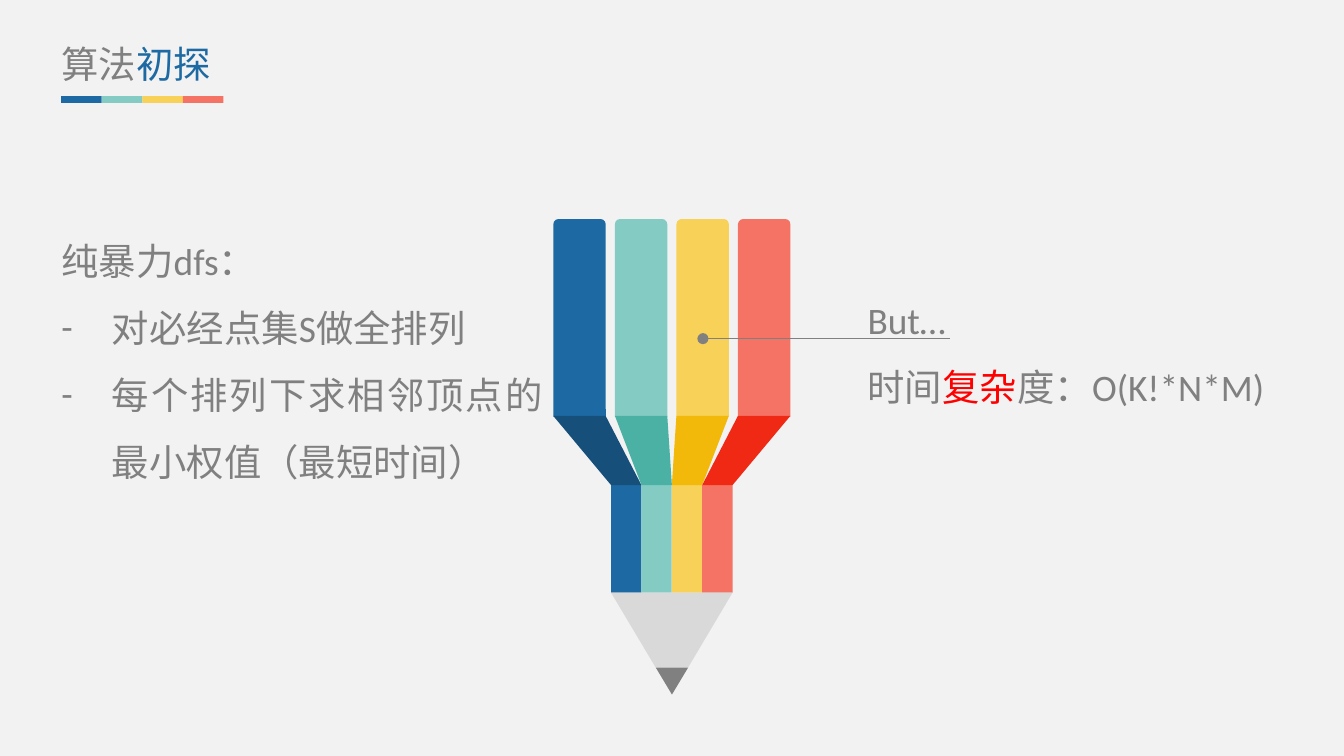
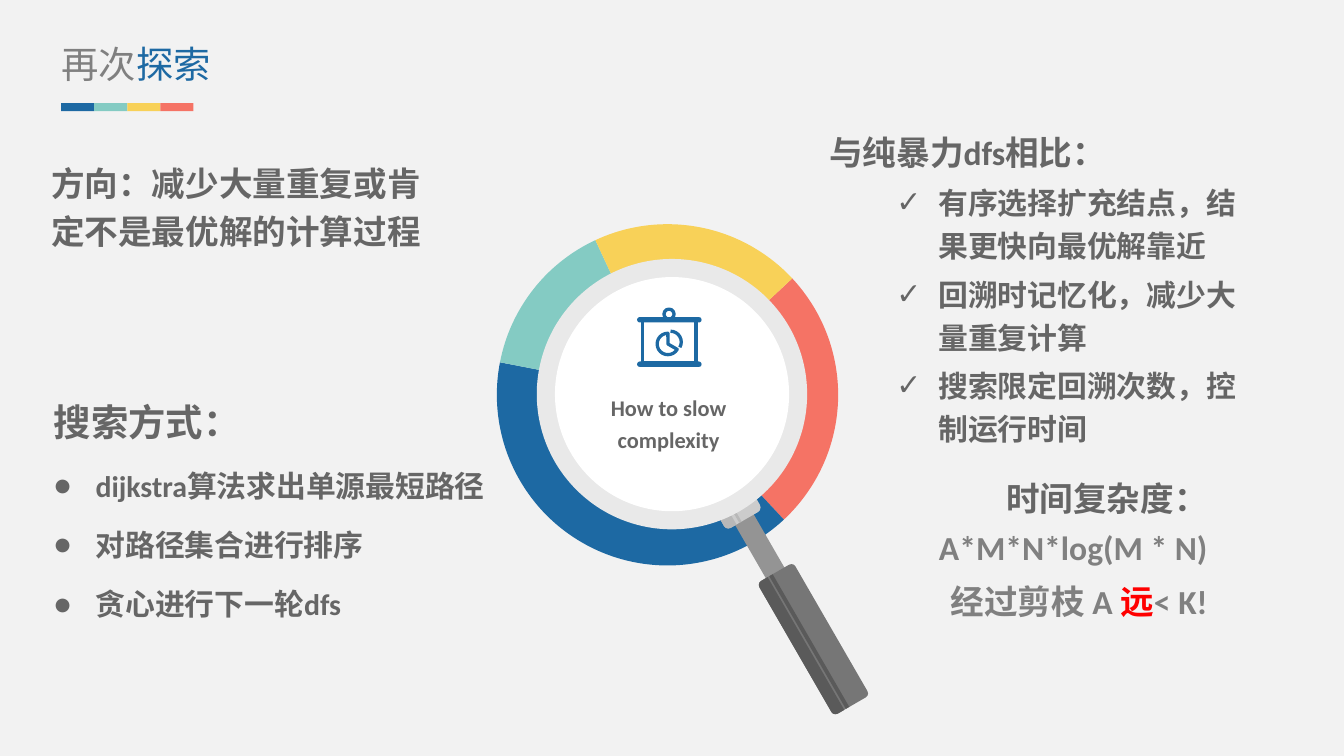
import math
from dataclasses import dataclass

import pptx
import pptx.chart.data
import pptx.dml.color
import pptx.enum.chart
import pptx.enum.shapes
import pptx.enum.text
import pptx.oxml
import pptx.oxml.ns
import pptx.util
from lxml import etree


@dataclass(frozen=True)
class Theme:
    back: str = "F2F2F2"
    bands: tuple = ("1D69A3", "84CBC3", "F8D158", "F57365")
    folds: tuple = ("164F7A", "4BB1A5", "F2B90A", "F02914")
    grey: str = "808080"
    dark: str = "666666"
    alert: str = "FF0000"
    wood: str = "D9D9D9"
    rim: str = "E9E9E9"
    glass: str = "FFFFFF"
    shaft: str = "949494"
    collar: str = "CCCCCC"
    collar_shade: str = "B8B8B8"
    grip: str = "767676"
    grip_shade: str = "5A5A5A"
    chart_text: str = "333333"
    font: str = "Calibri"
    cjk: str = "Noto Sans CJK SC"
    large: int = 20
    medium: int = 18
    small: int = 16
    tiny: int = 12


T = Theme()
RGB = pptx.dml.color.RGBColor.from_string
SHAPE = pptx.enum.shapes.MSO_SHAPE
ALIGN = pptx.enum.text.PP_ALIGN
qn = pptx.oxml.ns.qn

# A 16:9 slide on a grid of 100 columns; rows are as tall as columns are wide
prs = pptx.Presentation()
prs.slide_width = pptx.util.Inches(10)
prs.slide_height = prs.slide_width * 9 // 16
U = prs.slide_width // 100


def draw(s, kind, x, y, w, h, fill=None, line=None, rot=0, adj=()):
    """Place a preset shape, measured in grid cells."""
    sp = s.shapes.add_shape(kind, *(int(U * v) for v in (x, y, w, h)))
    sp.shadow.inherit = False
    sp.rotation = rot
    for i, value in enumerate(adj):
        sp.adjustments[i] = value
    if fill:
        sp.fill.solid()
        sp.fill.fore_color.rgb = RGB(fill)
    else:
        sp.fill.background()
    if line:
        sp.line.color.rgb = RGB(line)
        sp.line.width = pptx.util.Pt(1.75)
    else:
        sp.line.fill.background()
    return sp


def write(s, x, y, w, h, paras, size, color, bold=False, font=T.font,
          align=None, spacing=1.0, before=0, indent=0, hang=0):
    """Add a text box; each paragraph is (bullet, size, runs of (text, color))."""
    sp = s.shapes.add_textbox(*(int(U * v) for v in (x, y, w, h)))
    tf = sp.text_frame
    tf.word_wrap = True
    tf.auto_size = pptx.enum.text.MSO_AUTO_SIZE.SHAPE_TO_FIT_TEXT
    tf.margin_left = tf.margin_right = tf.margin_top = tf.margin_bottom = 0
    for i, (bullet, own_size, runs) in enumerate(paras):
        p = tf.add_paragraph() if i else tf.paragraphs[0]
        p.alignment = align
        p.line_spacing = spacing
        p.space_before = pptx.util.Pt(before)
        if bullet:
            pPr = p._p.get_or_add_pPr()
            pPr.set("marL", str(int(U * indent)))
            pPr.set("indent", str(int(-U * hang)))
            etree.SubElement(pPr, qn("a:buFont")).set("typeface", T.font)
            etree.SubElement(pPr, qn("a:buChar")).set("char", bullet)
        for text, own_color in runs:
            r = p.add_run()
            r.text = text
            r.font.name = font
            r.font.size = pptx.util.Pt(own_size or size)
            r.font.bold = bold
            r.font.color.rgb = RGB(own_color or color)
            etree.SubElement(r._r.get_or_add_rPr(), qn("a:ea")).set("typeface", T.cjk)


# Shared background, title and four-colour underline
slides = []
for plain, accent, bar_y, bar_w, bar_h in (("算法", "初探", 7.15, 3.02, 0.52),
                                           ("再次", "探索", 7.68, 2.46, 0.6)):
    s = prs.slides.add_slide(prs.slide_layouts[6])
    s.background.fill.solid()
    s.background.fill.fore_color.rgb = RGB(T.back)
    write(s, 4.57, 3.04, 30.4, 3.4, [(None, None, [(plain, None), (accent, T.bands[0])])],
          T.large, T.grey, font=T.cjk)
    for i, color in enumerate(T.bands):
        draw(s, SHAPE.RECTANGLE, 4.55 + i * bar_w, bar_y, bar_w, bar_h, color)
    slides.append(s)

# Slide 1: pencil, from bars through folds to the tip
s = slides[0]
outlines = []
for i, (color, fold) in enumerate(zip(T.bands, T.folds)):
    bar_x, stem_x = 41.17 + i * 4.58, 45.47 + i * 2.26
    draw(s, SHAPE.ROUND_2_SAME_RECTANGLE, bar_x, 16.3, 3.9, 14.7, color, adj=(0.1, 0))
    draw(s, SHAPE.RECTANGLE, stem_x, 36.1, 2.26, 8, color)
    outlines.append((fold, [(bar_x, 30.95), (bar_x + 3.9, 30.95),
                            (stem_x + 2.26, 36.1), (stem_x, 36.1)]))
outlines.append((T.wood, [(45.47, 44.1), (54.51, 44.1), (51.2, 49.68), (48.8, 49.68)]))
outlines.append((T.grey, [(48.8, 49.68), (51.2, 49.68), (50, 51.68)]))
for color, points in outlines:
    fine = [(x * 100, y * 100) for x, y in points]
    builder = s.shapes.build_freeform(*fine[0], scale=U / 100)
    builder.add_line_segments(fine[1:], close=True)
    sp = builder.convert_to_shape()
    sp.shadow.inherit = False
    sp.fill.solid()
    sp.fill.fore_color.rgb = RGB(color)
    sp.line.fill.background()

# Slide 1: explanation, pointer and remark
write(s, 4.57, 16.04, 35.8, 19.6,
      [(None, None, [("纯暴力dfs：", None)]),
       ("-", None, [("对必经点集S做全排列", None)]),
       ("-", None, [("每个排列下求相邻顶点的最小权值（最短时间）", None)])],
      T.large, T.grey, align=ALIGN.JUSTIFY, spacing=1.5, indent=3.75, hang=3.75)
pointer = s.shapes.add_connector(pptx.enum.shapes.MSO_CONNECTOR.STRAIGHT,
                                 *(int(U * v) for v in (52.3, 25.2, 70.7, 25.2)))
pointer.line.color.rgb = RGB(T.grey)
pointer.line.width = pptx.util.Pt(0.5)
etree.SubElement(pointer.line._get_or_add_ln(), qn("a:headEnd")).set("type", "oval")
etree.SubElement(pointer._element.spPr, qn("a:effectLst"))
write(s, 64.55, 20.46, 35.8, 10.1,
      [(None, None, [("But…", None)]),
       (None, None, [("时间", None), ("复杂", T.alert), ("度：O(K!*N*M)", None)])],
      T.large, T.grey, align=ALIGN.JUSTIFY, spacing=1.5)

# Slide 2: doughnut ring
s = slides[1]
data = pptx.chart.data.CategoryChartData()
data.categories = ["1", "2", "3", "4"]
data.add_series("Series 1", (25, 40, 15, 20))
chart = s.shapes.add_chart(pptx.enum.chart.XL_CHART_TYPE.DOUGHNUT,
                           *(int(U * v) for v in (35.2, 14.87, 29.2, 29.3)), data).chart
chart.has_legend = False
chart.has_title = False
chart.font.name = T.font
chart.font.size = pptx.util.Pt(T.medium)
chart.font.color.rgb = RGB(T.chart_text)
plot = chart.plots[0]
plot.vary_by_categories = True
for i in range(4):
    point = plot.series[0].points[i]
    point.format.fill.solid()
    point.format.fill.fore_color.rgb = RGB(T.bands[(3, 0, 1, 2)[i]])
    point.format.line.fill.background()
ring = plot._element
for tag, value in (("c:firstSliceAng", 47), ("c:holeSize", 90)):
    node = ring.find(qn(tag))
    if node is None:
        node = etree.SubElement(ring, qn(tag))
    node.set("val", str(value))
area = ring.getparent()
layout = area.find(qn("c:layout"))
if layout is None:
    layout = etree.Element(qn("c:layout"))
    area.insert(0, layout)
manual = etree.SubElement(layout, qn("c:manualLayout"))
for tag, value in (("layoutTarget", "inner"), ("xMode", "edge"), ("yMode", "edge"),
                   ("x", 0.045), ("y", 0.062), ("w", 0.901), ("h", 0.867)):
    etree.SubElement(manual, qn("c:" + tag)).set("val", str(value))

# Slide 2: handle parts, placed across and along an axis 30 degrees off vertical
lens_x, lens_y, tilt = 50, 29.33, math.radians(30)
side, lengthwise = -120, -30
for across, along, w, h, kind, rot, fill, adj in (
        (0, 13.15, 1.6, 6.2, SHAPE.RECTANGLE, lengthwise, T.shaft, ()),
        (0, 9.6, 3.1, 2.4, SHAPE.ROUNDED_RECTANGLE, lengthwise, T.collar, (0.17,)),
        (0, 21.05, 3.1, 11.4, SHAPE.ROUNDED_RECTANGLE, lengthwise, T.grip, (0.11,)),
        (-1.1, 21.05, 11.4, 0.9, SHAPE.ROUND_2_SAME_RECTANGLE, side, T.grip_shade, (0.4, 0)),
        (-0.35, 21.05, 0.3, 11.4, SHAPE.RECTANGLE, lengthwise, T.grip_shade, ()),
        (-1.12, 9.95, 1.7, 0.85, SHAPE.ROUND_2_SAME_RECTANGLE, side, T.collar_shade, (0.4, 0)),
        (-0.35, 9.95, 0.2, 1.7, SHAPE.RECTANGLE, lengthwise, T.collar_shade, ())):
    x = lens_x + across * math.cos(tilt) + along * math.sin(tilt)
    y = lens_y - across * math.sin(tilt) + along * math.cos(tilt)
    draw(s, kind, x - w / 2, y - h / 2, w, h, fill, rot=rot, adj=adj)

# Slide 2: lens
for radius, color in ((10.06, T.rim), (8.71, T.glass)):
    draw(s, SHAPE.OVAL, lens_x - radius, lens_y - radius, 2 * radius, 2 * radius, color)

# Slide 2: presentation board icon; angles are in units of 100000/60000 degree
blue = T.bands[0]
draw(s, SHAPE.RECTANGLE, 47.8, 23.8, 4, 3.2, line=blue)
for y in (23.6, 26.9):
    draw(s, SHAPE.ROUNDED_RECTANGLE, 47.4, y, 4.8, 0.4, blue, adj=(0.5,))
draw(s, SHAPE.OVAL, 49.4, 23, 0.75, 0.75, line=blue)
draw(s, SHAPE.PIE, 48.9, 24.8, 1.6, 1.6, line=blue, adj=(30 * 0.6, 270 * 0.6))
draw(s, SHAPE.ARC, 49.1, 24.65, 1.6, 1.6, line=blue, adj=(270 * 0.6, 30 * 0.6))

# Slide 2: texts around the lens
write(s, 41.8, 28.94, 15.9, 4.7, [(None, None, [("How to slow complexity", None)])],
      T.tiny, T.dark, True, align=ALIGN.CENTER, spacing=1.2, before=3)
write(s, 3.8, 11.5, 27.8, 10.3,
      [(None, None, [("方向：减少大量重复或肯定不是最优解的计算过程", None)])],
      T.medium, T.dark, True, spacing=1.2, before=3)
gains = ("有序选择扩充结点，结果更快向最优解靠近",
         "回溯时记忆化，减少大量重复计算",
         "搜索限定回溯次数，控制运行时间")
write(s, 61.7, 9.2, 32.3, 27.3,
      [(None, None, [("与纯暴力dfs相比：", None)])]
      + [("✓", T.small, [(text, None)]) for text in gains],
      T.medium, T.dark, True, spacing=1.2, before=3, indent=8.12, hang=3.12)
steps = ("dijkstra算法求出单源最短路径", "对路径集合进行排序", "贪心进行下一轮dfs")
write(s, 4, 28.04, 32.7, 18,
      [(None, None, [("搜索方式：", None)])]
      + [("●", T.small, [(text, None)]) for text in steps],
      T.large, T.dark, True, spacing=1.5, before=3, indent=3.12, hang=3.12)
write(s, 63.05, 35, 26.8, 11.3,
      [(None, None, [("时间复杂度：", T.dark), ("A*M*N*log(M * N)", None)]),
       (None, None, [("经过剪枝 A ", None), ("远", T.alert), ("< K!", None)])],
      T.medium, T.grey, True, align=ALIGN.RIGHT, spacing=1.2, before=3)

prs.save("out.pptx")
